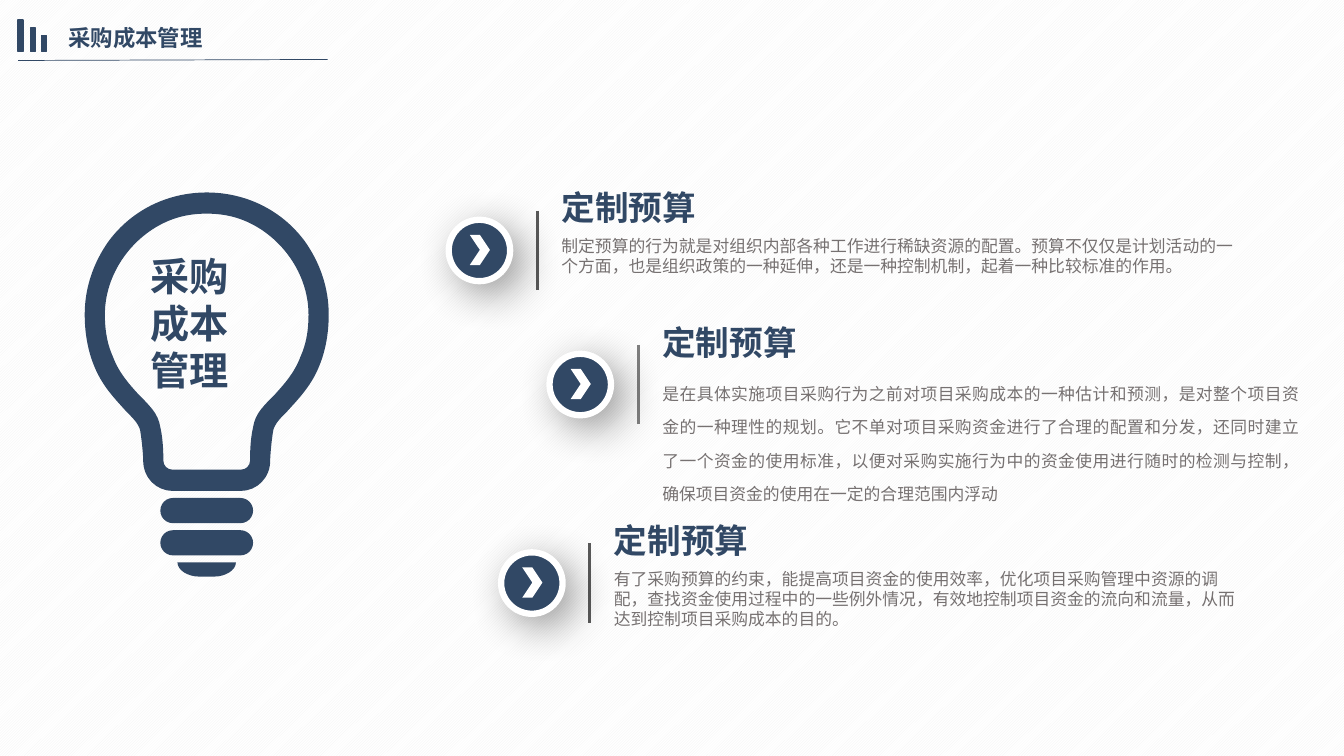
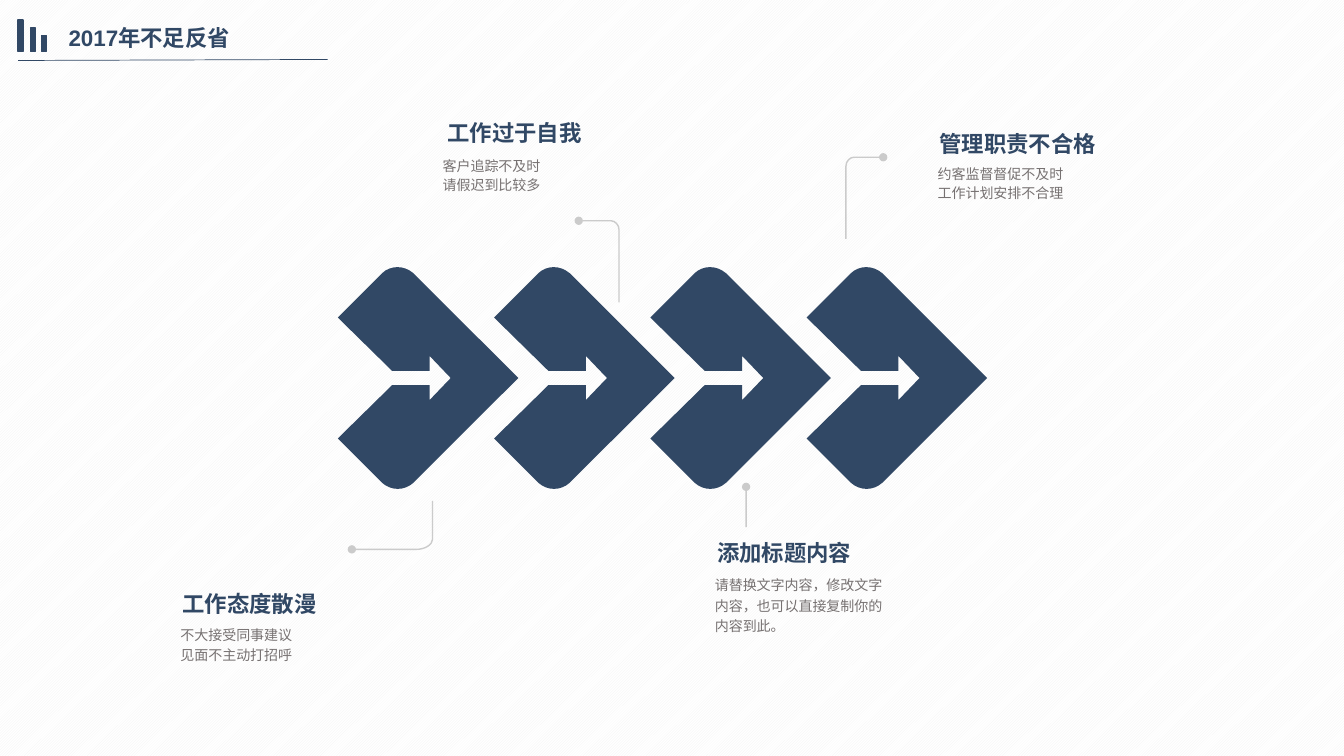
from lxml import etree
from pptx import Presentation
from pptx.dml.color import RGBColor
from pptx.enum.dml import MSO_PATTERN
from pptx.enum.shapes import MSO_CONNECTOR, MSO_SHAPE
from pptx.enum.text import MSO_ANCHOR, MSO_AUTO_SIZE, PP_ALIGN
from pptx.oxml.ns import qn
from pptx.shapes.connector import Connector
from pptx.util import Pt

PX = 9144  # 100 px to the inch
NAVY, WHITE, GREY = "314865", "FFFFFF", "767171"
DIVIDER, LEADER = "595959", "BFBFBF"
FONT = "Arial"
hex_colour = RGBColor.from_string


def write_text(shape, lines, size, colour, bold=False, align=PP_ALIGN.LEFT,
               spacing=None, insets=(10, 5)):
    """Fill a box with one paragraph per line, anchored at the top."""
    frame = shape.text_frame
    frame.word_wrap = True
    frame.auto_size = MSO_AUTO_SIZE.NONE
    frame.vertical_anchor = MSO_ANCHOR.TOP
    frame.margin_left = frame.margin_right = insets[0] * PX
    frame.margin_top = frame.margin_bottom = insets[1] * PX
    for index, line in enumerate(lines):
        paragraph = frame.add_paragraph() if index else frame.paragraphs[0]
        paragraph.alignment = align
        paragraph.line_spacing = spacing
        paragraph._p.get_or_add_pPr().set("hangingPunct", "0")
        if index:
            paragraph.space_before = Pt(size * 0.2)
        run = paragraph.add_run()
        run.text = line
        run.font.size = Pt(size)
        run.font.bold = bold
        run.font.color.rgb = hex_colour(colour)
        run.font.name = FONT
        east_asian = etree.SubElement(run._r.get_or_add_rPr(), qn("a:ea"))
        east_asian.set("typeface", FONT)


def draw_outline(slide, contours, mirror_x=None, closed=True, shift=0):
    """Draw contours of points (x, y) and Bezier pieces (x1, y1, x2, y2, x, y).

    With mirror_x each contour is a right half, completed by its reflection.
    """
    builder = None
    piece_sizes = []
    for contour in contours:
        points = [(piece[i], piece[i + 1]) for piece in contour for i in range(0, len(piece), 2)]
        sizes = [len(piece) // 2 for piece in contour[1:]]
        if mirror_x is not None:
            points += [(2 * mirror_x - x, y) for x, y in reversed(points[:-1])]
            sizes += reversed(sizes)
        piece_sizes += sizes
        points = [((x + shift) * PX, y * PX) for x, y in points]
        if builder is None:
            builder = slide.shapes.build_freeform(*points[0])
        else:
            builder.move_to(*points[0])
        # The closing edge is implied, so the last point already meets the first
        builder.add_line_segments(points[1:], close=closed)
    shape = builder.convert_to_shape()

    # Each run of three segments that stands for a Bezier piece becomes one curve
    segments = []
    for element in shape._element.iter(qn("a:lnTo"), qn("a:moveTo")):
        if element.tag == qn("a:lnTo"):
            segments.append(element)
    position = 0
    for size in piece_sizes:
        first, *others = segments[position:position + size]
        position += size
        if others:
            curve = etree.Element(qn("a:cubicBezTo"))
            first.addprevious(curve)
            for segment in (first, *others):
                curve.append(segment[0])
                segment.getparent().remove(segment)

    shape.shadow.inherit = False
    shape.line.fill.background()
    if closed:
        shape.fill.solid()
        shape.fill.fore_color.rgb = hex_colour(NAVY)
    else:
        shape.fill.background()
    return shape


presentation = Presentation()
presentation.slide_width = 1333 * PX
presentation.slide_height = 750 * PX

background = presentation.slide_master.background.fill
background.patterned()
background.pattern = MSO_PATTERN.DARK_UPWARD_DIAGONAL
background.fore_color.rgb = hex_colour("F2F2F2")
background.back_color.rgb = hex_colour(WHITE)

# Shared header
for title_text in ("采购成本管理", "2017年不足反省"):
    slide = presentation.slides.add_slide(presentation.slide_layouts[5])
    title = slide.shapes.title
    title.left, title.top, title.width, title.height = [v * PX for v in (58, 19, 266, 37)]
    write_text(title, [title_text], 16, NAVY, bold=True)
    rule = slide.shapes.add_connector(MSO_CONNECTOR.STRAIGHT, 18 * PX, 60 * PX, 325 * PX, 59 * PX)
    rule.line.color.rgb = hex_colour(NAVY)
    rule.line.width = Pt(0.5)
    for left, top in ((18, 20), (30, 28), (41, 35)):
        bar = slide.shapes.add_shape(MSO_SHAPE.RECTANGLE, left * PX, top * PX,
                                     5 * PX, (51 - top) * PX)
        bar.shadow.inherit = False
        bar.fill.solid()
        bar.fill.fore_color.rgb = bar.line.color.rgb = hex_colour(NAVY)
        bar.line.width = Pt(1)

budget_slide, review_slide = presentation.slides

# Budget slide: light bulb
BULB_AXIS = 205
bulb_outside = [
    (205, 487), (239, 487), (255, 487, 268, 474, 268, 457), (268, 456),
    (268, 453, 269, 439, 271, 427), (271, 426, 272, 424, 273, 422),
    (275, 418, 280, 413, 285, 408), (293, 399, 304, 388, 312, 373),
    (320, 358, 326, 338, 326, 312), (326, 285, 317, 260, 302, 239),
    (278, 207, 242, 191, 205, 191),
]
bulb_inside = [
    (205, 466), (239, 466), (244, 466, 248, 462, 248, 457),
    (248, 452, 248, 437, 251, 424), (252, 417, 255, 411, 259, 406),
    (263, 401, 268, 396, 273, 391), (282, 381, 292, 370, 298, 354),
    (303, 343, 306, 330, 306, 312), (306, 290, 298, 269, 285, 252),
    (272, 235, 254, 222, 234, 216), (224, 213, 214, 212, 205, 212),
]
bulb_foot = [(205, 558), (234, 558), (234, 566, 223, 572, 213, 572), (205, 572)]
draw_outline(budget_slide, [bulb_outside, bulb_inside], mirror_x=BULB_AXIS)
draw_outline(budget_slide, [bulb_foot], mirror_x=BULB_AXIS)
for top in (494, 526):
    thread = budget_slide.shapes.add_shape(MSO_SHAPE.ROUNDED_RECTANGLE, 159 * PX, top * PX,
                                           92 * PX, 25 * PX)
    thread.adjustments[0] = 0.5
    thread.shadow.inherit = False
    thread.fill.solid()
    thread.fill.fore_color.rgb = hex_colour(NAVY)
    thread.line.fill.background()
bulb_label = budget_slide.shapes.add_textbox(139 * PX, 245 * PX, 127 * PX, 151 * PX)
write_text(bulb_label, ["采购成本管理"], 28, NAVY, bold=True)

# Budget slide: divider x and y, divider colour, body size, alignment, line spacing, text
budget_items = [
    (533, 209, DIVIDER, 691, 50, PP_ALIGN.LEFT, None,
     "制定预算的行为就是对组织内部各种工作进行稀缺资源的配置。预算不仅仅是计划活动的一个方面，"
     "也是组织政策的一种延伸，还是一种控制机制，起着一种比较标准的作用。"),
    (633, 342, "808080", 652, 145, PP_ALIGN.JUSTIFY, Pt(24),
     "是在具体实施项目采购行为之前对项目采购成本的一种估计和预测，是对整个项目资金的一种理性的规划。"
     "它不单对项目采购资金进行了合理的配置和分发，还同时建立了一个资金的使用标准，"
     "以便对采购实施行为中的资金使用进行随时的检测与控制，确保项目资金的使用在一定的合理范围内浮动"),
    (585, 539, DIVIDER, 639, 71, PP_ALIGN.LEFT, None,
     "有了采购预算的约束，能提高项目资金的使用效率，优化项目采购管理中资源的调配，"
     "查找资金使用过程中的一些例外情况，有效地控制项目资金的流向和流量，"
     "从而达到控制项目采购成本的目的。"),
]
for x, y, divider_colour, width, height, align, spacing, body_text in budget_items:
    divider = budget_slide.shapes.add_connector(MSO_CONNECTOR.STRAIGHT, x * PX, y * PX,
                                                x * PX, (y + 79) * PX)
    divider.line.color.rgb = hex_colour(divider_colour)
    divider.line.width = Pt(2.25)
    heading = budget_slide.shapes.add_textbox((x + 14) * PX, (y - 28) * PX, 332 * PX, 50 * PX)
    write_text(heading, ["定制预算"], 24, NAVY, bold=True)
    body = budget_slide.shapes.add_textbox((x + 14) * PX, (y + 20) * PX, width * PX, height * PX)
    write_text(body, [body_text], 12, GREY, align=align, spacing=spacing)

    disc = budget_slide.shapes.add_shape(MSO_SHAPE.OVAL, (x - 88) * PX, (y + 9) * PX,
                                         61 * PX, 61 * PX)
    disc.line.color.rgb = hex_colour(WHITE)
    disc.line.width = Pt(4.5)
    arrow = budget_slide.shapes.add_shape(MSO_SHAPE.CHEVRON, (x - 67) * PX, (y + 24) * PX,
                                          20 * PX, 30 * PX)
    arrow.line.fill.background()
    for shape, colour in ((disc, NAVY), (arrow, WHITE)):
        shape.shadow.inherit = False
        shape.fill.solid()
        shape.fill.fore_color.rgb = hex_colour(colour)
    effects = disc._element.spPr.find(qn("a:effectLst"))
    shadow = etree.SubElement(effects, qn("a:outerShdw"), blurRad=str(Pt(30)), dist=str(Pt(10)),
                              dir="2700000", algn="tl", rotWithShape="0")
    shadow_colour = etree.SubElement(shadow, qn("a:srgbClr"), val="000000")
    etree.SubElement(shadow_colour, qn("a:alpha"), val="40000")

# Review slide: chain of four chevrons with an arrow cut into each
chevron = [
    (394, 265), (400, 265, 405, 267, 410, 271), (514, 375), (410, 479),
    (401, 487, 388, 487, 379, 479), (335, 435), (389, 382), (426, 382), (426, 397),
    (447, 375), (426, 353), (426, 368), (389, 368), (335, 315), (379, 271),
    (383, 267, 389, 265, 394, 265),
]
for index in range(4):
    draw_outline(review_slide, [chevron], shift=155 * index)

# Review slide: leader lines, each starting at its dot
bent_leaders = [
    [(574, 219), (606, 219), (610, 219, 614, 223, 614, 228), (614, 300)],
    [(876, 156), (847, 156), (843, 156, 839, 160, 839, 165), (839, 237)],
    [(349, 545), (413, 545), (422, 545, 429, 540, 429, 535), (429, 497)],
]
leaders = [draw_outline(review_slide, [points], closed=False) for points in bent_leaders]
leaders.append(review_slide.shapes.add_connector(MSO_CONNECTOR.STRAIGHT, 740 * PX, 483 * PX,
                                                 740 * PX, 523 * PX))
for leader in leaders:
    leader.line.color.rgb = hex_colour(LEADER)
    leader.line.width = Pt(1)
    outline = leader._element.spPr.find(qn("a:ln"))
    etree.SubElement(outline.find(".//" + qn("a:srgbClr")), qn("a:alpha"), val="80000")
    etree.SubElement(outline, qn("a:headEnd"), type="oval")

# Review slide: heading box, alignment, heading, body box, line spacing, body lines
review_notes = [
    ((174, 581, 237, 34), PP_ALIGN.LEFT, "工作态度散漫",
     (172, 618, 286, 45), None, ["不大接受同事建议", "见面不主动打招呼"]),
    ((437, 114, 160, 34), PP_ALIGN.LEFT, "工作过于自我",
     (432, 152, 225, 45), None, ["客户追踪不及时", "请假迟到比较多"]),
    ((666, 531, 224, 34), PP_ALIGN.CENTER, "添加标题内容",
     (702, 565, 189, 68), 1.2, ["请替换文字内容，修改文字内容，也可以直接复制你的内容到此。"]),
    ((925, 125, 180, 34), PP_ALIGN.LEFT, "管理职责不合格",
     (923, 160, 205, 45), None, ["约客监督督促不及时", "工作计划安排不合理"]),
]
for heading_box, align, heading_text, body_box, spacing, body_lines in review_notes:
    heading = review_slide.shapes.add_textbox(*[v * PX for v in heading_box])
    write_text(heading, [heading_text], 16, NAVY, bold=True, align=align, insets=(7, 4))
    body = review_slide.shapes.add_textbox(*[v * PX for v in body_box])
    write_text(body, body_lines, 10, GREY, spacing=spacing, insets=(7, 4))

# Connectors carry a theme shadow until an empty effect list is present
for slide in presentation.slides:
    for shape in slide.shapes:
        if isinstance(shape, Connector):
            etree.SubElement(shape._element.spPr, qn("a:effectLst"))

presentation.save("out.pptx")
